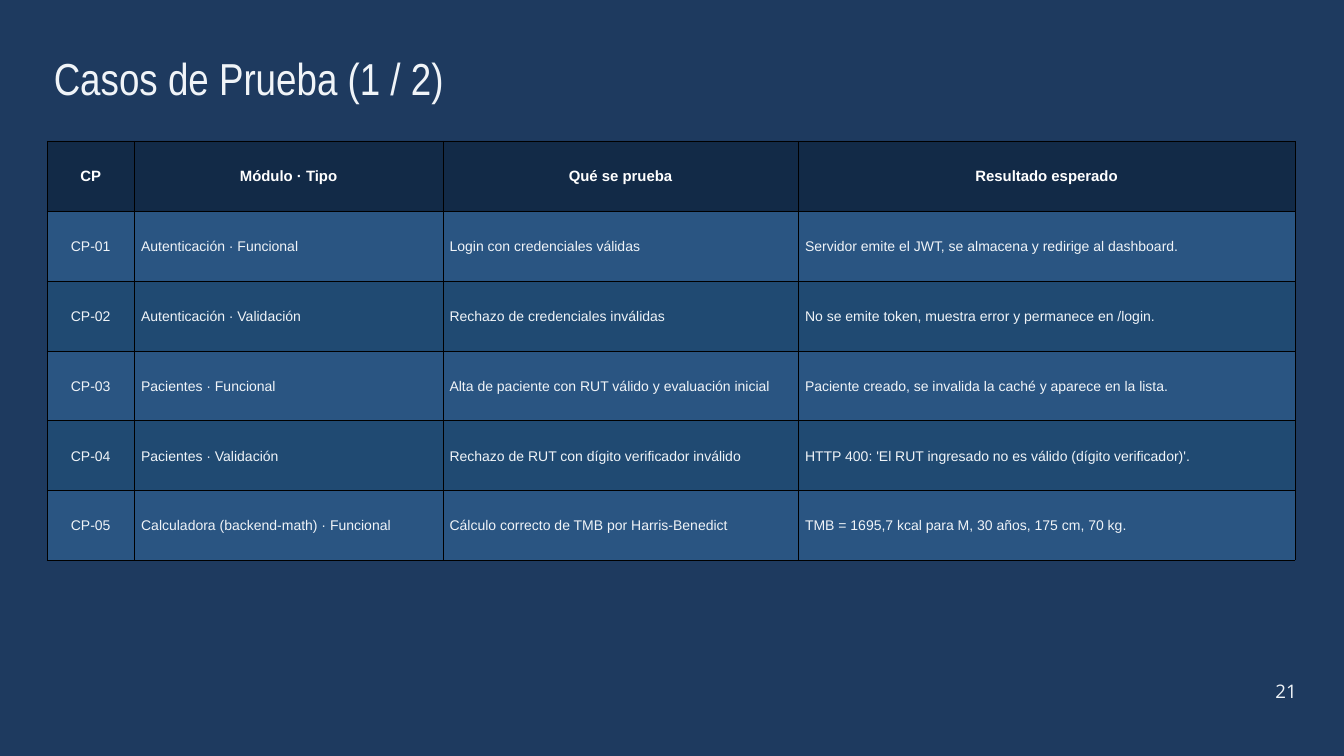
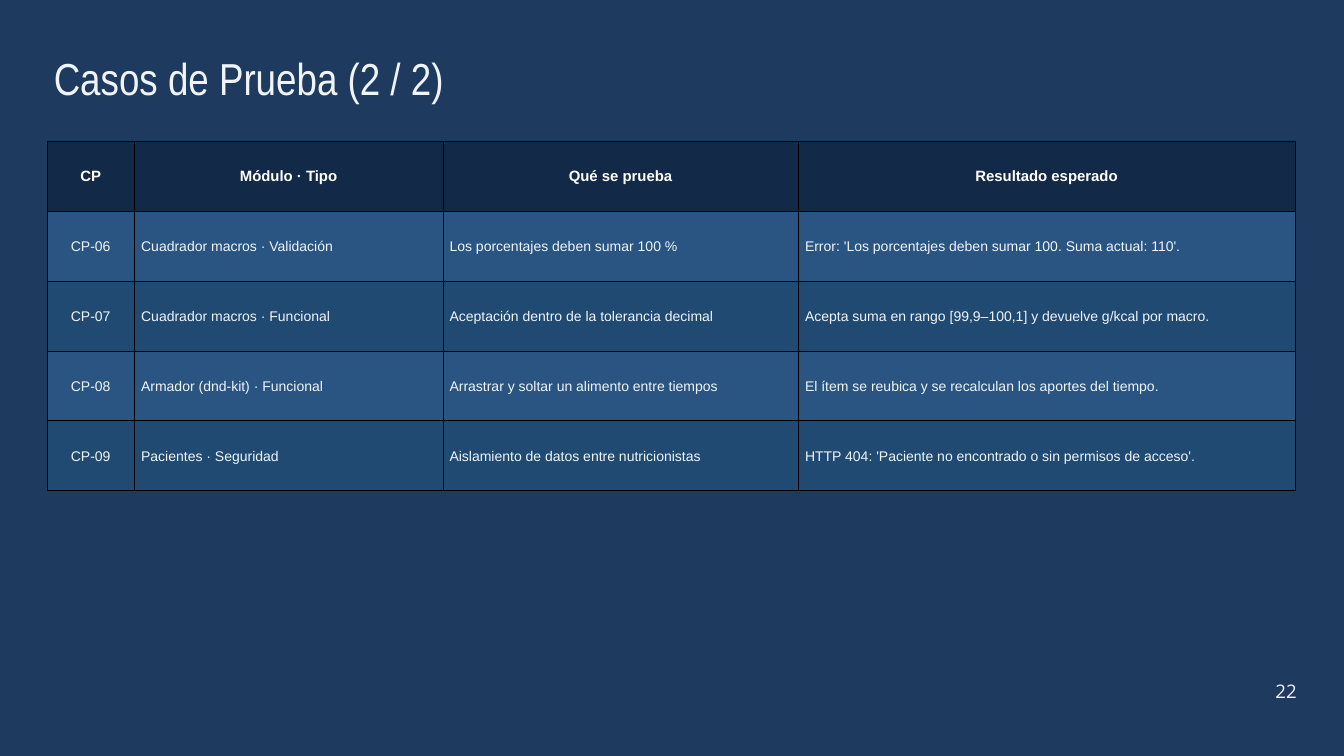
"""Build the two slides that list the test cases."""
from lxml import etree
from pptx import Presentation
from pptx import util as u
from pptx.dml.color import RGBColor
from pptx.enum import text
from pptx.oxml import ns

PX = 9144
HUES = {"back": "1E3A5F", "head": "122A47", "odd": "2A5582",
        "even": "204A72", "ink": "F0F4F8", "white": "FFFFFF", "line": "000000"}
COLS = (130, 459, 529, 739)
ROW = 104
HEAD = ("CP", "Módulo · Tipo", "Qué se prueba", "Resultado esperado")
FIRST = (
    ("CP-01", "Autenticación · Funcional", "Login con credenciales válidas",
     "Servidor emite el JWT, se almacena y redirige al dashboard."),
    ("CP-02", "Autenticación · Validación", "Rechazo de credenciales inválidas",
     "No se emite token, muestra error y permanece en /login."),
    ("CP-03", "Pacientes · Funcional",
     "Alta de paciente con RUT válido y evaluación inicial",
     "Paciente creado, se invalida la caché y aparece en la lista."),
    ("CP-04", "Pacientes · Validación",
     "Rechazo de RUT con dígito verificador inválido",
     "HTTP 400: 'El RUT ingresado no es válido (dígito verificador)'."),
    ("CP-05", "Calculadora (backend-math) · Funcional",
     "Cálculo correcto de TMB por Harris-Benedict",
     "TMB = 1695,7 kcal para M, 30 años, 175 cm, 70 kg."),
)
LAST = (
    ("CP-06", "Cuadrador macros · Validación", "Los porcentajes deben sumar 100 %",
     "Error: 'Los porcentajes deben sumar 100. Suma actual: 110'."),
    ("CP-07", "Cuadrador macros · Funcional",
     "Aceptación dentro de la tolerancia decimal",
     "Acepta suma en rango [99,9–100,1] y devuelve g/kcal por macro."),
    ("CP-08", "Armador (dnd-kit) · Funcional",
     "Arrastrar y soltar un alimento entre tiempos",
     "El ítem se reubica y se recalculan los aportes del tiempo."),
    ("CP-09", "Pacientes · Seguridad", "Aislamiento de datos entre nutricionistas",
     "HTTP 404: 'Paciente no encontrado o sin permisos de acceso'."),
)


def px(*vals):
    """Turn px into EMU."""
    return [u.Emu(val * PX) for val in vals]


def paint(fill, hue):
    """Give a fill one solid colour."""
    fill.solid()
    fill.fore_color.rgb = RGBColor.from_string(HUES[hue])


def write(frame, words, size, face, hue="ink", bold=False, mid=False):
    """Put one styled run into a text frame."""
    para = frame.paragraphs[0]
    para.alignment = text.PP_ALIGN.CENTER if mid else text.PP_ALIGN.LEFT
    para.line_spacing = u.Pt(size * 1.2)
    run = para.add_run()
    run.text = words
    font = run.font
    font.size, font.name, font.bold = u.Pt(size), face, bold
    font.color.rgb = RGBColor.from_string(HUES[hue])


def label(shape, box, words, size, face):
    """Place a shape without insets and write its text."""
    shape.left, shape.top, shape.width, shape.height = px(*box)
    frame = shape.text_frame
    frame.margin_left = frame.margin_top = frame.margin_right = frame.margin_bottom = 0
    frame.vertical_anchor = text.MSO_ANCHOR.TOP
    frame.auto_size = text.MSO_AUTO_SIZE.NONE
    frame.word_wrap = True
    write(frame, words, size, face)


def edge(cell):
    """Draw a thin line on all four sides of a cell."""
    props = cell._tc.get_or_add_tcPr()
    for side in "LRTB":
        line = etree.SubElement(props, ns.qn(f"a:ln{side}"), w=str(u.Pt(0.37)))
        fill = etree.SubElement(line, ns.qn("a:solidFill"))
        etree.SubElement(fill, ns.qn("a:srgbClr"), val=HUES["line"])


def grid(slide, cases):
    """Add the table with its header and striped rows."""
    rows = (HEAD, *cases)
    box = px(70, 210, sum(COLS), ROW * len(rows))
    table = slide.shapes.add_table(len(rows), len(COLS), *box).table
    for col, wide in zip(table.columns, px(*COLS)):
        col.width = wide
    for i, row in enumerate(rows):
        table.rows[i].height = px(ROW)[0]
        top = i == 0
        band = "head" if top else "odd" if i % 2 else "even"
        for j, words in enumerate(row):
            cell = table.cell(i, j)
            inset = px(10)[0]
            cell.margin_left = cell.margin_right = inset
            cell.margin_top = cell.margin_bottom = inset
            cell.vertical_anchor = text.MSO_ANCHOR.MIDDLE
            edge(cell)
            paint(cell.fill, band)
            write(cell.text_frame, words, 16 if top else 15, "Arial",
                  "white" if top else "ink", top, top or j == 0)


def main():
    """Build and save the deck."""
    prs = Presentation()
    prs.slide_width, prs.slide_height = px(2000, 1125)
    paint(prs.slide_master.background.fill, "back")
    parts = (FIRST, LAST)
    for num, cases in enumerate(parts, 1):
        slide = prs.slides.add_slide(prs.slide_layouts[5])
        label(slide.shapes.title, (80, 75, 1840, 120),
              f"Casos de Prueba ({num} / {len(parts)})", 48, "Arial Narrow")
        grid(slide, cases)
        box = (1898, 1012, 40, 31)
        label(slide.shapes.add_textbox(*px(*box)), box, str(20 + num), 20, "Open Sans")
    prs.save("out.pptx")


if __name__ == "__main__":
    main()
